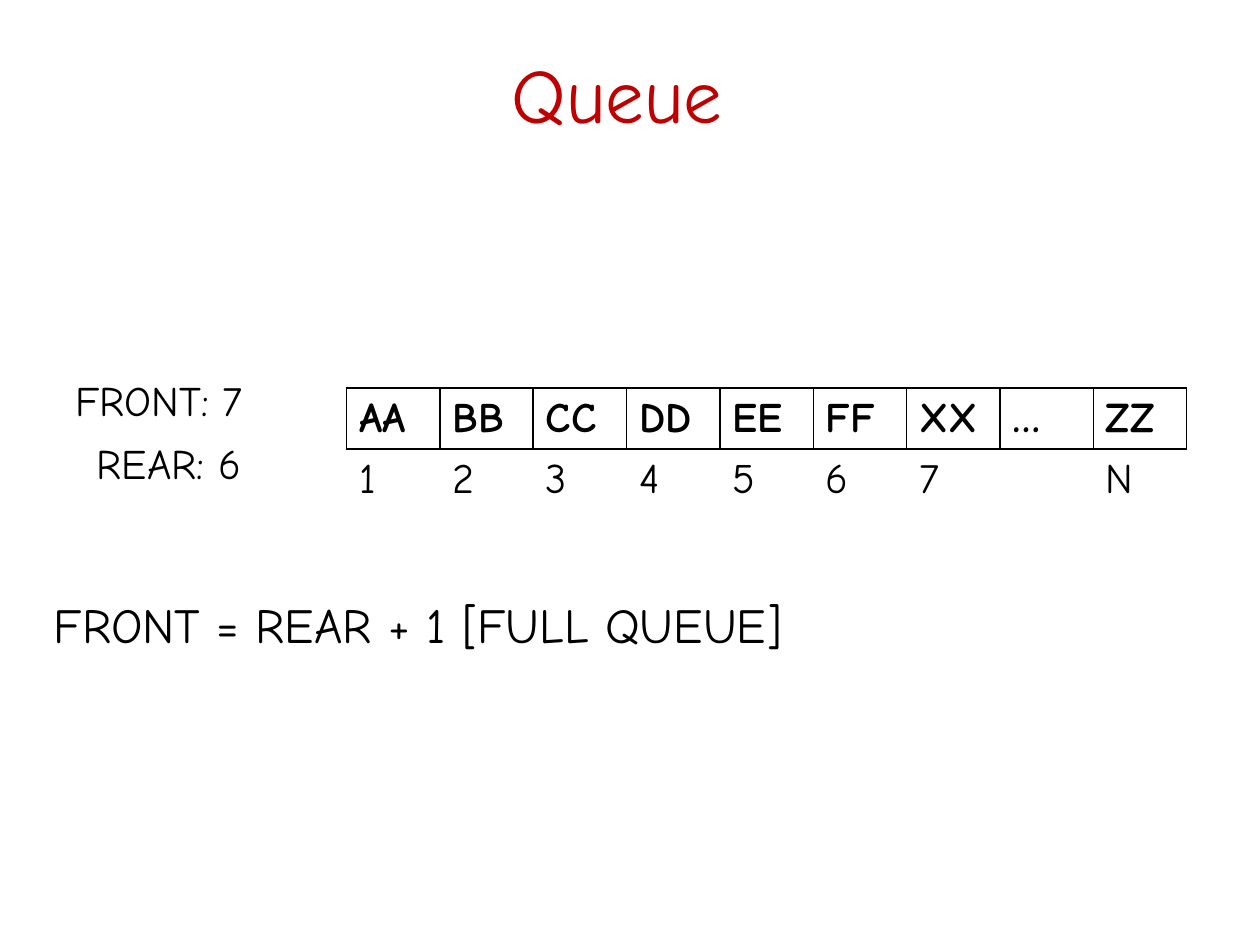
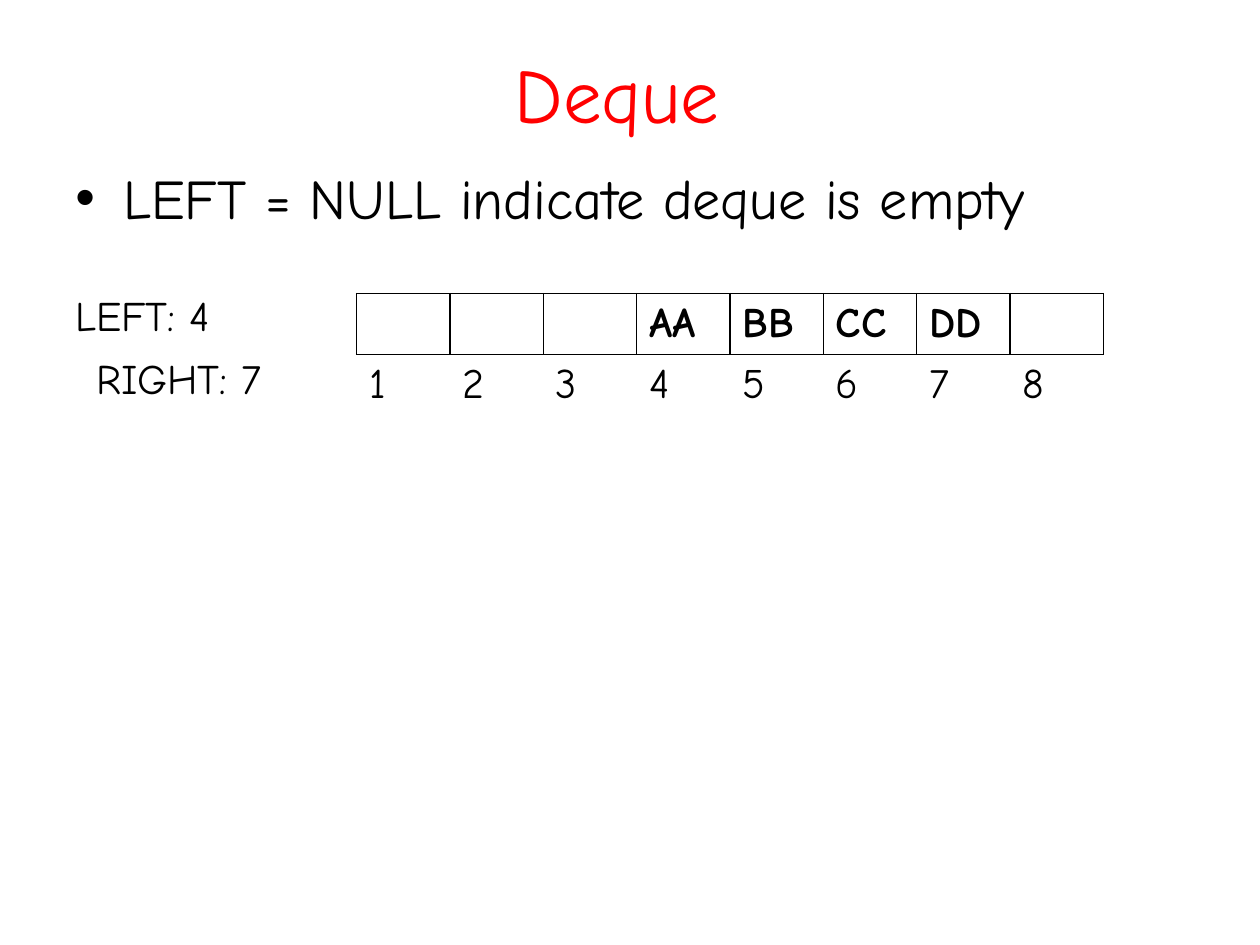
from lxml.etree import SubElement
from pptx import Presentation
from pptx.dml.color import RGBColor
from pptx.enum.text import MSO_ANCHOR, MSO_AUTO_SIZE, PP_ALIGN
from pptx.oxml.ns import qn
from pptx.util import Inches, Pt

COLORS = {"ink": "000000", "queue": "C00000", "deque": "FF0000"}
FONT = "Comic Neue"
PLAIN = "{2D5ABB26-0587-4C30-8999-92F81FD0307C}"


class Deck:
    def __init__(self):
        self.prs = Presentation()
        self.prs.slide_width = Inches(10)
        self.prs.slide_height = Inches(7.5)
        self.slide = None

    def style(self, para, size, color="ink", bold=False):
        for run in para.runs:
            run.font.name = FONT
            run.font.size = Pt(size)
            run.font.bold = bold
            run.font.color.rgb = RGBColor.from_string(COLORS[color])

    def text(self, words, left, top, width, height, size=24, color="ink"):
        box = self.slide.shapes.add_textbox(
            Inches(left), Inches(top), Inches(width), Inches(height))
        frame = box.text_frame
        frame.word_wrap = True
        frame.auto_size = MSO_AUTO_SIZE.NONE
        frame.text = words
        self.style(frame.paragraphs[0], size, color)
        return frame

    def page(self, title, color):
        self.slide = self.prs.slides.add_slide(self.prs.slide_layouts[6])
        frame = self.text(title, 0.5, 0.3, 9, 0.87, 44, color)
        frame.vertical_anchor = MSO_ANCHOR.MIDDLE
        frame.paragraphs[0].alignment = PP_ALIGN.CENTER

    def bullet(self, words, top):
        para = self.text(words, 0.5, top, 9, 0.75, 32).paragraphs[0]
        para.space_before = Pt(6.4)
        props = para._p.get_or_add_pPr()
        props.set("marL", str(Inches(0.38)))
        props.set("indent", str(-Inches(0.38)))
        SubElement(props, qn("a:buFont"), typeface="Arial")
        SubElement(props, qn("a:buChar"), char="•")

    def ends(self, first, last, top):
        self.text(first, 0.5, top, 2.17, 0.5)
        self.text(last, 0.67, top + 0.5, 1.83, 0.5)

    def border(self, cell, sides):
        props = cell._tc.get_or_add_tcPr()
        for side in sides:
            line = SubElement(props, qn("a:ln" + side), w=str(Pt(1)))
            fill = SubElement(line, qn("a:solidFill"))
            SubElement(fill, qn("a:srgbClr"), val=COLORS["ink"])

    def array(self, items, marks, left, top, width):
        count = len(items)
        table = self.slide.shapes.add_table(
            2, count, Inches(left), Inches(top),
            Inches(width), Inches(0.82)).table
        table.first_row = table.horz_banding = False
        table._tbl.tblPr.find(qn("a:tableStyleId")).text = PLAIN
        for row, words in enumerate((items, marks)):
            for col, word in enumerate(words):
                cell = table.cell(row, col)
                cell.text = word
                self.style(cell.text_frame.paragraphs[0], 24, bold=row == 0)
                self.border(cell, "T" if row else "LRTB")
                cell.fill.background()


deck = Deck()

deck.page("Queue ", "queue")
deck.array(["AA", "BB", "CC", "DD", "EE", "FF", "XX", "…", "ZZ"],
           [*"1234567", "", "N"], 2.75, 3.08, 6.67)
deck.ends("FRONT: 7", "REAR: 6", 2.92)
deck.text("FRONT = REAR + 1 [FULL QUEUE]", 0.33, 4.67, 9.5, 0.57, 28)

deck.page("Deque ", "deque")
deck.bullet("LEFT = NULL indicate deque is empty", 1.25)
deck.array(["", "", "", "AA", "BB", "CC", "DD", ""],
           [*"12345678"], 2.83, 2.33, 5.93)
deck.ends("LEFT: 4", "RIGHT: 7", 2.25)

deck.prs.save("out.pptx")
